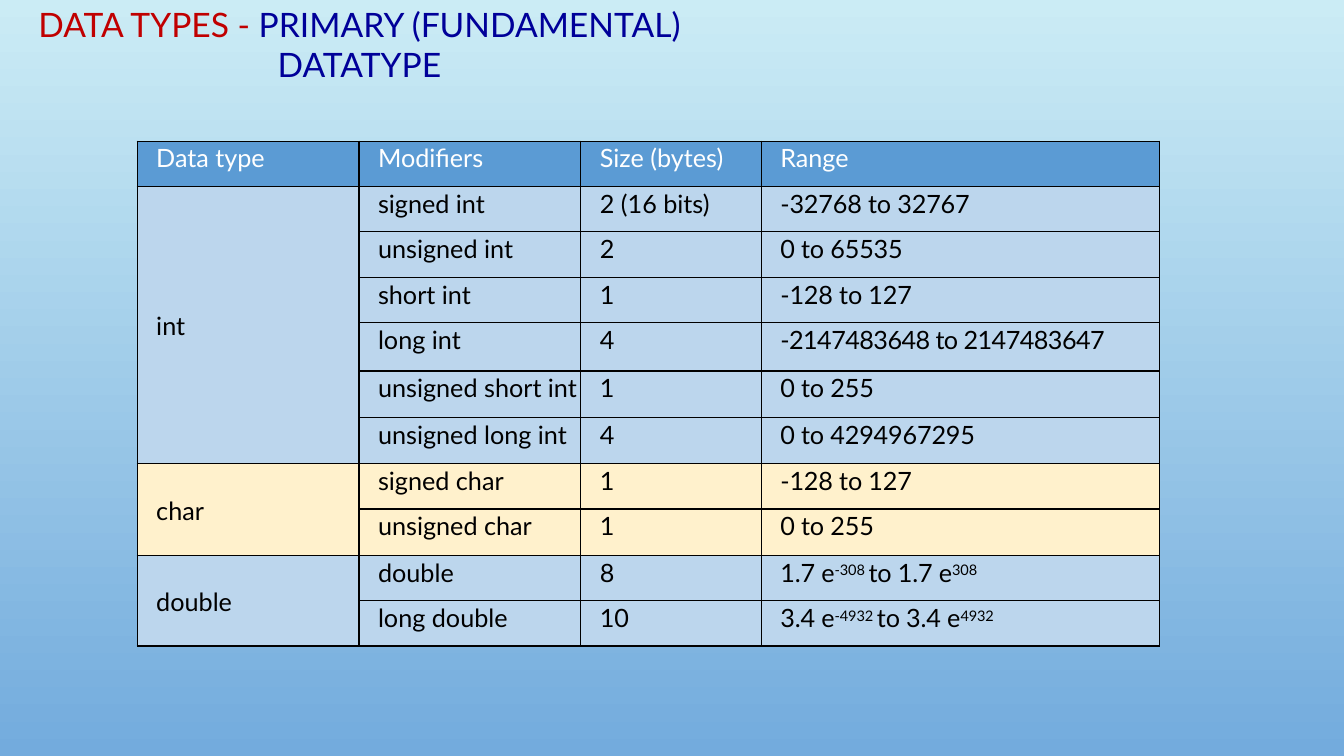
from pptx import Presentation
from pptx import util as u
from pptx.dml.color import RGBColor
from pptx.enum import text
from pptx.oxml import parse_xml
from pptx.oxml.ns import nsdecls

# Content
TITLE = [("DATA TYPES - ", "red"), ("PRIMARY (FUNDAMENTAL) DATATYPE", "navy")]
HEADINGS = ["Data type", "Modifiers", "Size (bytes)", "Range"]
# Text between carets is raised
GROUPS = [
    ("int", "blue", [
        ("signed int", "2 (16 bits)", "-32768 to 32767"),
        ("unsigned int", "2", "0 to 65535"),
        ("short int", "1", "-128 to 127"),
        ("long int", "4", "-2147483648 to 2147483647"),
        ("unsigned short int", "1", "0 to 255"),
        ("unsigned long int", "4", "0 to 4294967295"),
    ]),
    ("char", "cream", [
        ("signed char", "1", "-128 to 127"),
        ("unsigned char", "1", "0 to 255"),
    ]),
    ("double", "blue", [
        ("double", "8", "1.7 e^-308 ^to 1.7 e^308^"),
        ("long double", "10", "3.4 e^-4932 ^to 3.4 e^4932^"),
    ]),
]
COLUMN_WIDTHS = [2.2, 2.2, 1.79, 3.95]
ROW_HEIGHTS = [0.45, 0.45, 0.45, 0.45, 0.48, 0.46, 0.46, 0.45, 0.46, 0.45, 0.45]

THEME = {
    "font": "Lato", "title": 24, "body": 18,
    "sky": "CBECF5", "deep": "73ABDD",
    "red": "C00000", "navy": "000099", "white": "FFFFFF", "black": "000000",
    "header": "5B9BD4", "blue": "BCD6ED", "cream": "FFF1CC",
}


def color(name):
    return RGBColor.from_string(THEME[name])


def add_span(para, content, size="body", ink="black", tracking=0, raised=False):
    span = para.add_run()
    span.text = content
    span.font.name = THEME["font"]
    span.font.size = u.Pt(THEME[size])
    span.font.color.rgb = color(ink)
    properties = span.font._element
    if tracking:
        properties.set("spc", str(round(tracking * 100)))
    if raised:
        properties.set("baseline", "25000")


def style_cell(cell, fill):
    cell.margin_left = u.Inches(0.19)
    cell.margin_right = cell.margin_bottom = 0
    cell.margin_top = u.Inches(0.02)
    properties = cell._tc.get_or_add_tcPr()
    for side in ("lnL", "lnR", "lnT", "lnB"):
        properties.append(parse_xml(
            f'<a:{side} {nsdecls("a")} w="12700"><a:solidFill>'
            f'<a:srgbClr val="{THEME["black"]}"/></a:solidFill></a:{side}>'))
    cell.fill.solid()
    cell.fill.fore_color.rgb = color(fill)


def write_cell(cell, content, **style):
    para = cell.text_frame.paragraphs[0]
    for index, part in enumerate(content.split("^")):
        if part:
            add_span(para, part, raised=index % 2 == 1, **style)


def range_tracking(content):
    return -0.4 if len(content) > 20 and "^" not in content else -0.1


deck = Presentation()
deck.slide_width, deck.slide_height = u.Inches(13.33), u.Inches(7.5)
page = deck.slides.add_slide(deck.slide_layouts[6])

# Background
backdrop = page.background.fill
backdrop.gradient()
backdrop.gradient_angle = 270
for stop, name, position in zip(backdrop.gradient_stops, ("sky", "deep"), (0, 1)):
    stop.color.rgb = color(name)
    stop.position = position

# Title
box = page.shapes.add_textbox(u.Inches(0.3), u.Inches(0.22), u.Inches(6.53), u.Inches(0.43))
frame = box.text_frame
frame.word_wrap = True
frame.vertical_anchor = text.MSO_ANCHOR.MIDDLE
frame.margin_left = frame.margin_right = frame.margin_bottom = 0
frame.margin_top = u.Inches(0.01)
frame.paragraphs[0].alignment = text.PP_ALIGN.CENTER
for content, ink in TITLE:
    add_span(frame.paragraphs[0], content, size="title", ink=ink)

# Table grid
table = page.shapes.add_table(
    len(ROW_HEIGHTS), len(COLUMN_WIDTHS), u.Inches(1.36), u.Inches(1.4),
    u.Inches(sum(COLUMN_WIDTHS)), u.Inches(sum(ROW_HEIGHTS))).table
table.first_row = table.horz_banding = False
for column, width in zip(table.columns, COLUMN_WIDTHS):
    column.width = u.Inches(width)
for row, height in zip(table.rows, ROW_HEIGHTS):
    row.height = u.Inches(height)
row_fills = ["header"] + [fill for _, fill, members in GROUPS for _ in members]
for row, fill in zip(table.rows, row_fills):
    for cell in row.cells:
        style_cell(cell, fill)

# Table text
for column, heading in enumerate(HEADINGS):
    write_cell(table.cell(0, column), heading, ink="white")
top = 1
for kind, _, members in GROUPS:
    kind_cell = table.cell(top, 0)
    kind_cell.merge(table.cell(top + len(members) - 1, 0))
    kind_cell.vertical_anchor = text.MSO_ANCHOR.MIDDLE
    write_cell(kind_cell, kind)
    for row, (modifier, size, limits) in enumerate(members, top):
        write_cell(table.cell(row, 1), modifier)
        write_cell(table.cell(row, 2), size)
        write_cell(table.cell(row, 3), limits, tracking=range_tracking(limits))
    top += len(members)

deck.save("out.pptx")
